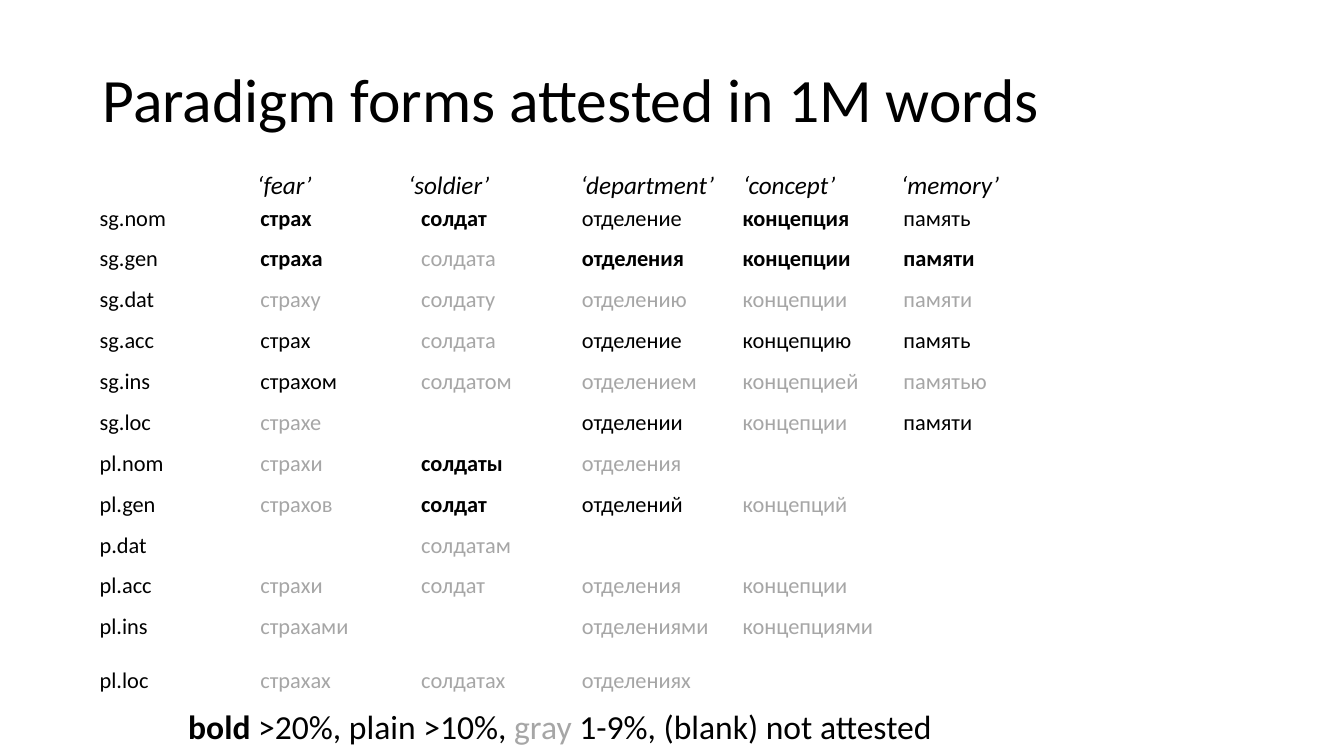
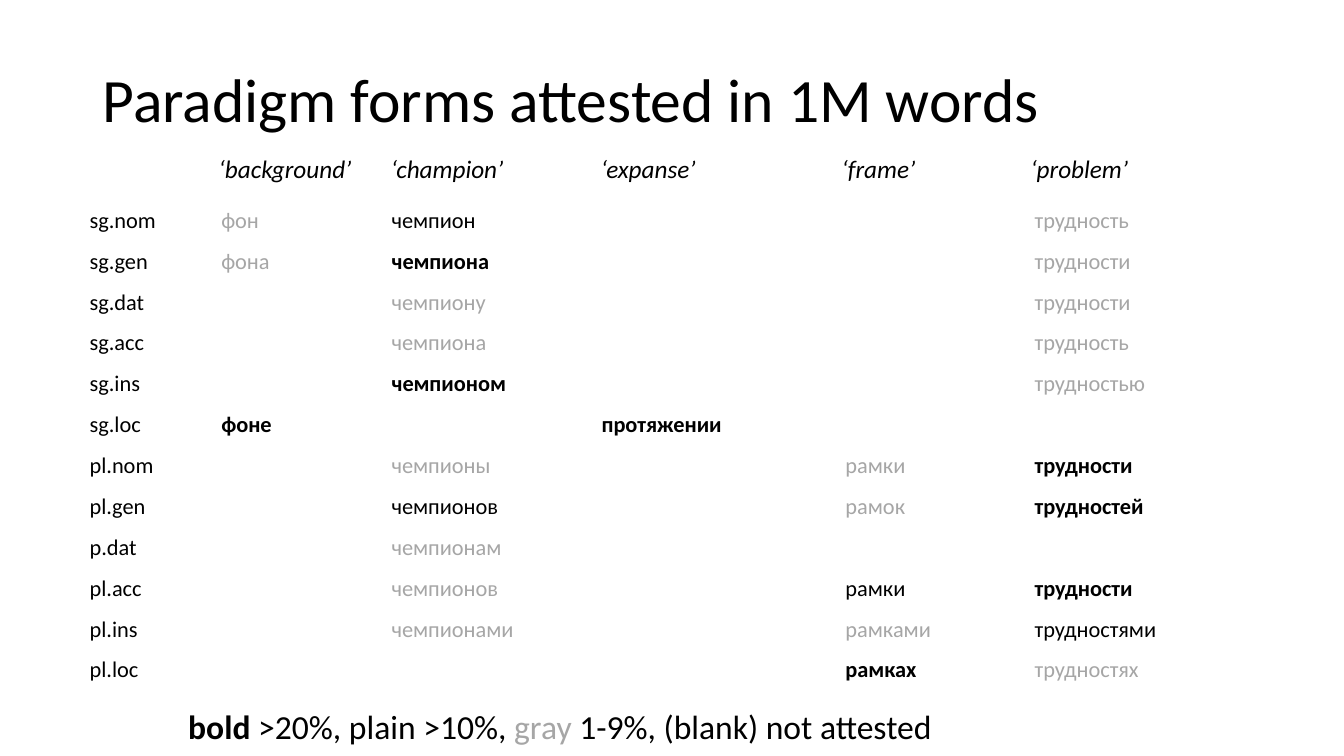
from dataclasses import dataclass

from lxml.etree import SubElement
from pptx import Presentation
from pptx.dml.color import RGBColor
from pptx.enum.text import MSO_ANCHOR, MSO_AUTO_SIZE, PP_ALIGN
from pptx.oxml.ns import qn
from pptx.util import Pt

# Shared style
FONT = "Calibri"
BLACK = "000000"
GRAY = "A6A6A6"
TITLE = "Paradigm forms attested in 1M words"
CASES = ("sg.nom", "sg.gen", "sg.dat", "sg.acc", "sg.ins", "sg.loc",
         "pl.nom", "pl.gen", "p.dat", "pl.acc", "pl.ins", "pl.loc")
ROW_HEIGHT = 29.2
LEGEND = (("bold", True, BLACK), (" >20%, plain >10%, ", False, BLACK),
          ("gray ", False, GRAY), ("1-9%, (blank) not attested", False, BLACK))


@dataclass(frozen=True)
class Glosses:
    """Italic translations above the columns, one tab stop each."""
    left: float
    top: float
    width: float
    words: tuple[str, ...]
    tabs: tuple[float, ...]


@dataclass(frozen=True)
class Paradigm:
    """One row of forms per case: * is bold, ~ is gray, blank is unattested."""
    glosses: Glosses
    left: float
    top: float
    column_widths: tuple[float, ...]
    forms: tuple[str, ...]
    tall_rows: dict[str, float]


PARADIGMS = (
    Paradigm(
        Glosses(31.7, 117.4, 768.2,
                ("‘fear’", "‘soldier’", "‘department’", "‘concept’", "‘memory’"),
                (145, 253, 376, 492, 605)),
        66.2, 146.2, (114.84,) * 6,
        ("*страх|*солдат|отделение|*концепция|память",
         "*страха|~солдата|*отделения|*концепции|*памяти",
         "~страху|~солдату|~отделению|~концепции|~памяти",
         "страх|~солдата|отделение|концепцию|память",
         "страхом|~солдатом|~отделением|~концепцией|~памятью",
         "~страхе||отделении|~концепции|памяти",
         "~страхи|*солдаты|~отделения||",
         "~страхов|*солдат|отделений|~концепций|",
         "|~солдатам|||",
         "~страхи|~солдат|~отделения|~концепции|",
         "~страхами||~отделениями|~концепциями|",
         "~страхах|~солдатах|~отделениях||"),
        {"pl.ins": 38.2}),
    Paradigm(
        Glosses(69.1, 106.2, 832.3,
                ("‘background’", "‘champion’", "‘expanse’", "‘frame’", "‘problem’"),
                (80, 203, 353, 525, 660)),
        59, 147.8, (94.1, 121.7, 150, 174.2, 135.2, 135.2),
        ("~фон|чемпион|||~трудность",
         "~фона|*чемпиона|||~трудности",
         "|~чемпиону|||~трудности",
         "|~чемпионa|||~трудность",
         "|*чемпионом|||~трудностью",
         "*фоне||*протяжении||",
         "|~чемпионы||~рамки|*трудности",
         "|чемпионов||~рамок|*трудностей",
         "|~чемпионам|||",
         "|~чемпионов||рамки|*трудности",
         "|~чемпионами||~рамками|трудностями",
         "|||*рамках|~трудностях"),
        {}),
)


def color(value: str) -> RGBColor:
    return RGBColor.from_string(value)


def style_font(font, size: float, value: str = BLACK, bold: bool = False,
               italic: bool = False) -> None:
    font.name = FONT
    font.size = Pt(size)
    font.color.rgb = color(value)
    font.bold = bold
    font.italic = italic


def add_title(slide) -> None:
    title = slide.shapes.title
    title.left, title.top, title.width, title.height = Pt(66.2), Pt(28.8), Pt(828), Pt(88.5)
    title.text_frame.vertical_anchor = MSO_ANCHOR.MIDDLE
    title.text_frame.text = TITLE
    paragraph = title.text_frame.paragraphs[0]
    paragraph.alignment = PP_ALIGN.LEFT
    paragraph.line_spacing = 0.9
    style_font(paragraph.font, 44)


def add_line(slide, left: float, top: float, width: float, height: float):
    """Add a one-line text box and return its paragraph."""
    shape = slide.shapes.add_textbox(Pt(left), Pt(top), Pt(width), Pt(height))
    shape.text_frame.word_wrap = True
    shape.text_frame.auto_size = MSO_AUTO_SIZE.SHAPE_TO_FIT_TEXT
    return shape.text_frame.paragraphs[0]


def add_glosses(slide, glosses: Glosses) -> None:
    paragraph = add_line(slide, glosses.left, glosses.top, glosses.width, 29)
    tab_list = SubElement(paragraph._p.get_or_add_pPr(), qn("a:tabLst"))
    for position in glosses.tabs:
        SubElement(tab_list, qn("a:tab"), pos=str(Pt(position)), algn="l")
    paragraph.add_run().text = "".join("\t" + word for word in glosses.words)
    style_font(paragraph.font, 18, italic=True)


def add_legend(slide) -> None:
    paragraph = add_line(slide, 127.4, 500.4, 672.5, 36)
    style_font(paragraph.font, 24)
    for text, bold, value in LEGEND:
        run = paragraph.add_run()
        run.text = text
        run.font.bold = bold
        run.font.color.rgb = color(value)


def fill_cell(cell, form: str) -> None:
    cell.fill.background()
    cell.margin_left = cell.margin_right = Pt(5)
    cell.margin_top = cell.margin_bottom = Pt(0)
    cell.text = form.lstrip("*~")
    style_font(cell.text_frame.paragraphs[0].font, 16,
               GRAY if form.startswith("~") else BLACK, form.startswith("*"))


def add_forms(slide, paradigm: Paradigm) -> None:
    heights = [paradigm.tall_rows.get(case, ROW_HEIGHT) for case in CASES]
    widths = paradigm.column_widths
    table = slide.shapes.add_table(
        len(CASES), len(widths), Pt(paradigm.left), Pt(paradigm.top),
        Pt(sum(widths)), Pt(sum(heights))).table
    table.first_row = table.horz_banding = False
    for column, width in zip(table.columns, widths):
        column.width = Pt(width)
    for row, height, case, forms in zip(table.rows, heights, CASES, paradigm.forms):
        row.height = Pt(height)
        for cell, form in zip(row.cells, (case, *forms.split("|"))):
            fill_cell(cell, form)


def main() -> None:
    presentation = Presentation()
    presentation.slide_width, presentation.slide_height = Pt(960), Pt(540)
    for paradigm in PARADIGMS:
        slide = presentation.slides.add_slide(presentation.slide_layouts[5])
        add_title(slide)
        add_forms(slide, paradigm)
        add_glosses(slide, paradigm.glosses)
        add_legend(slide)
    presentation.save("out.pptx")


if __name__ == "__main__":
    main()
